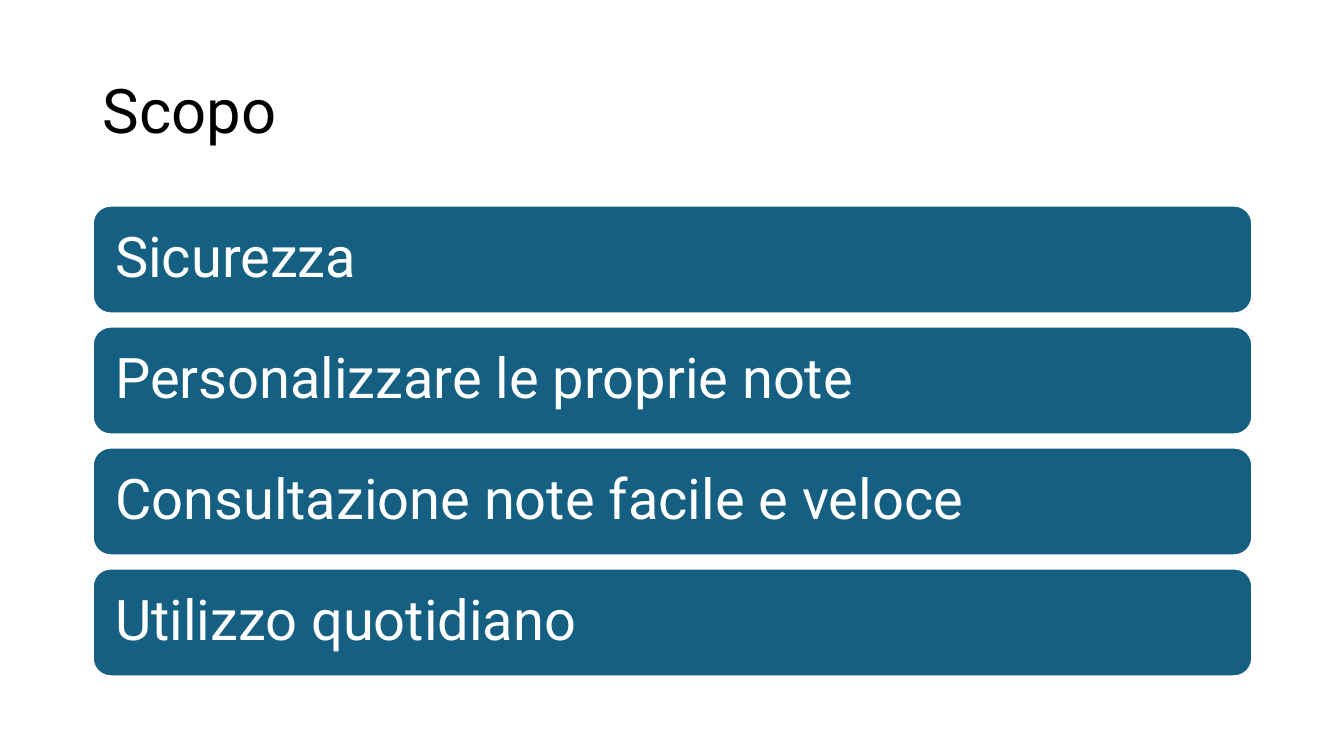
from dataclasses import dataclass

from pptx import Presentation
from pptx.dml.color import RGBColor
from pptx.enum.shapes import MSO_SHAPE as Shape
from pptx.enum.text import MSO_ANCHOR as Anchor, PP_ALIGN as Align
from pptx.util import Inches, Pt


@dataclass(frozen=True)
class Theme:
    font: str = "Roboto"
    title_size: int = 44
    purpose_size: int = 40
    ink: RGBColor = RGBColor(0x00, 0x00, 0x00)
    paper: RGBColor = RGBColor(0xFF, 0xFF, 0xFF)
    bar: RGBColor = RGBColor(0x15, 0x60, 0x82)


theme = Theme()


def write(frame, text, size, color, inset_x, inset_y):
    """Fill a frame with one left-aligned, vertically centred line."""
    settings = {
        "word_wrap": True,
        "vertical_anchor": Anchor.MIDDLE,
        "margin_left": Inches(inset_x),
        "margin_right": Inches(inset_x),
        "margin_top": Inches(inset_y),
        "margin_bottom": Inches(inset_y),
    }
    for name, value in settings.items():
        setattr(frame, name, value)
    line = frame.paragraphs[0]
    line.alignment = Align.LEFT
    line.line_spacing = 0.9
    run = line.add_run()
    run.text = text
    run.font.name = theme.font
    run.font.size = Pt(size)
    run.font.color.rgb = color


# Slide
deck = Presentation()
deck.slide_width, deck.slide_height = Inches(13.33), Inches(7.5)
slide = deck.slides.add_slide(deck.slide_layouts[6])
left, width = Inches(0.92), Inches(11.5)

# Title
title = slide.shapes.add_textbox(left, Inches(0.4), width, Inches(1.45))
write(title.text_frame, "Scopo", theme.title_size, theme.ink, 0.1, 0.05)

# Purposes, one bar each
purposes = [
    "Sicurezza",
    "Personalizzare le proprie note",
    "Consultazione note facile e veloce",
    "Utilizzo quotidiano",
]
first_top, pitch, bar_height = 2.04, 1.2, 1.07
for row, purpose in enumerate(purposes):
    bar = slide.shapes.add_shape(
        Shape.ROUNDED_RECTANGLE,
        left, Inches(first_top + row * pitch), width, Inches(bar_height),
    )
    bar.shadow.inherit = False
    bar.fill.solid()
    bar.fill.fore_color.rgb = theme.bar
    bar.line.color.rgb = theme.paper
    bar.line.width = Pt(1.5)
    write(bar.text_frame, purpose, theme.purpose_size, theme.paper, 0.17, 0.17)

deck.save("out.pptx")
